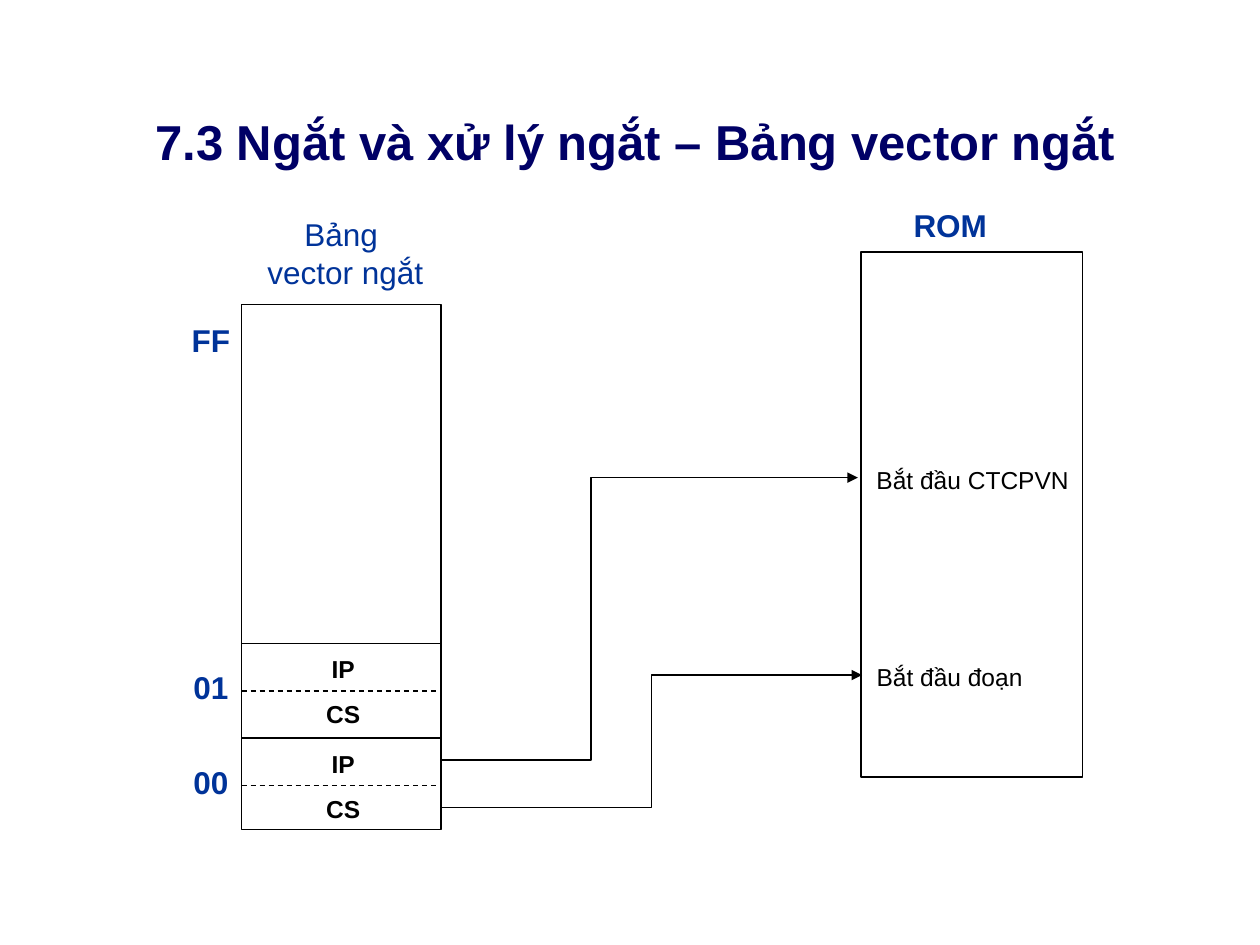
from pptx import Presentation
from pptx.dml.color import RGBColor
from pptx.enum.dml import MSO_LINE
from pptx.enum.shapes import MSO_CONNECTOR, MSO_SHAPE
from pptx.enum.text import MSO_ANCHOR, PP_ALIGN
from pptx.oxml.ns import qn
from pptx.util import Inches, Pt
from lxml import etree

NAVY = RGBColor(0x00, 0x00, 0x66)
BLUE = RGBColor(0x00, 0x33, 0x99)
BLACK = RGBColor(0x00, 0x00, 0x00)
CENTER, LEFT = PP_ALIGN.CENTER, PP_ALIGN.LEFT
STRAIGHT, ELBOW = MSO_CONNECTOR.STRAIGHT, MSO_CONNECTOR.ELBOW

prs = Presentation()
prs.slide_width, prs.slide_height = Inches(10), Inches(7.5)
s = prs.slides.add_slide(prs.slide_layouts[6])
U = prs.slide_width / 120  # grid of 120 columns by 90 rows


def add_text(text, x, y, w, h, size, color, bold=False, align=CENTER):
    tb = s.shapes.add_textbox(*(round(v * U) for v in (x, y, w, h)))
    tf = tb.text_frame
    tf.word_wrap = True
    tf.vertical_anchor = MSO_ANCHOR.MIDDLE
    p = tf.paragraphs[0]
    p.alignment = align
    for i, line in enumerate(text.split("\n")):
        if i:
            p.add_line_break()
        r = p.add_run()
        r.text = line
        r.font.name = "Arial"
        r.font.size = Pt(size)
        r.font.bold = bold
        r.font.color.rgb = color


def add_line(kind, x1, y1, x2, y2):
    cx = s.shapes.add_connector(kind, *(round(v * U) for v in (x1, y1, x2, y2)))
    cx.line.color.rgb = BLACK
    cx.line.width = Pt(0.75)
    etree.SubElement(cx._element.spPr, qn("a:effectLst"))
    return cx


add_text("7.3 Ngắt và xử lý ngắt – Bảng vector ngắt", 3, 10, 115, 6.8, 28, NAVY, True)

# Vector table and ROM
TABLE_X, TABLE_RIGHT, ROM_X = 23, 42, 82
for x, y, w in ((TABLE_X, 29, TABLE_RIGHT - TABLE_X), (ROM_X, 24, 21.1)):
    sp = s.shapes.add_shape(MSO_SHAPE.RECTANGLE, *(round(v * U) for v in (x, y, w, 50)))
    sp.shadow.inherit = False
    sp.fill.background()
    sp.line.color.rgb = BLACK
    sp.line.width = Pt(0.75)
add_text("Bảng \nvector ngắt", 21.4, 19.9, 23, 8.4, 18, BLUE)
add_text("ROM", 85, 19, 11, 4.8, 18, BLUE, True)

# Each vector entry holds IP above CS
ROW = 4.5
for top in (61.3, 61.3 + 2 * ROW):
    add_line(STRAIGHT, TABLE_X, top, TABLE_RIGHT, top)
    middle = add_line(STRAIGHT, TABLE_X, top + ROW, TABLE_RIGHT, top + ROW)
    middle.line.dash_style = MSO_LINE.DASH
    add_text("IP", 29.6, top + 0.4, 6.2, 4, 14, BLACK, True)
    add_text("CS", 29.6, top + ROW + 0.2, 6.2, 4, 14, BLACK, True)
for number, y in (("FF", 30), ("01", 63), ("00", 72.1)):
    add_text(number, 17, y, 6.2, 4.8, 18, BLUE, True)

# Pointers from vector 00 into ROM: start row, end column and row, bend in 1/100000 of width
for y1, x2, y2, bend in ((76.9, 82.1, 64.3, 50000), (72.4, 81.7, 45.5, 36000)):
    cx = add_line(ELBOW, TABLE_RIGHT, y1, x2, y2)
    guides = cx._element.spPr.find(qn("a:prstGeom")).get_or_add_avLst()
    etree.SubElement(guides, qn("a:gd"), name="adj1", fmla=f"val {bend}")
    etree.SubElement(cx.line._get_or_add_ln(), qn("a:tailEnd"), type="triangle")
add_text("Bắt đầu đoạn", 82.3, 62.4, 17.6, 4, 14, BLACK, align=LEFT)
add_text("Bắt đầu CTCPVN", 82.3, 43.7, 23.5, 4, 14, BLACK, align=LEFT)

prs.save("out.pptx")
